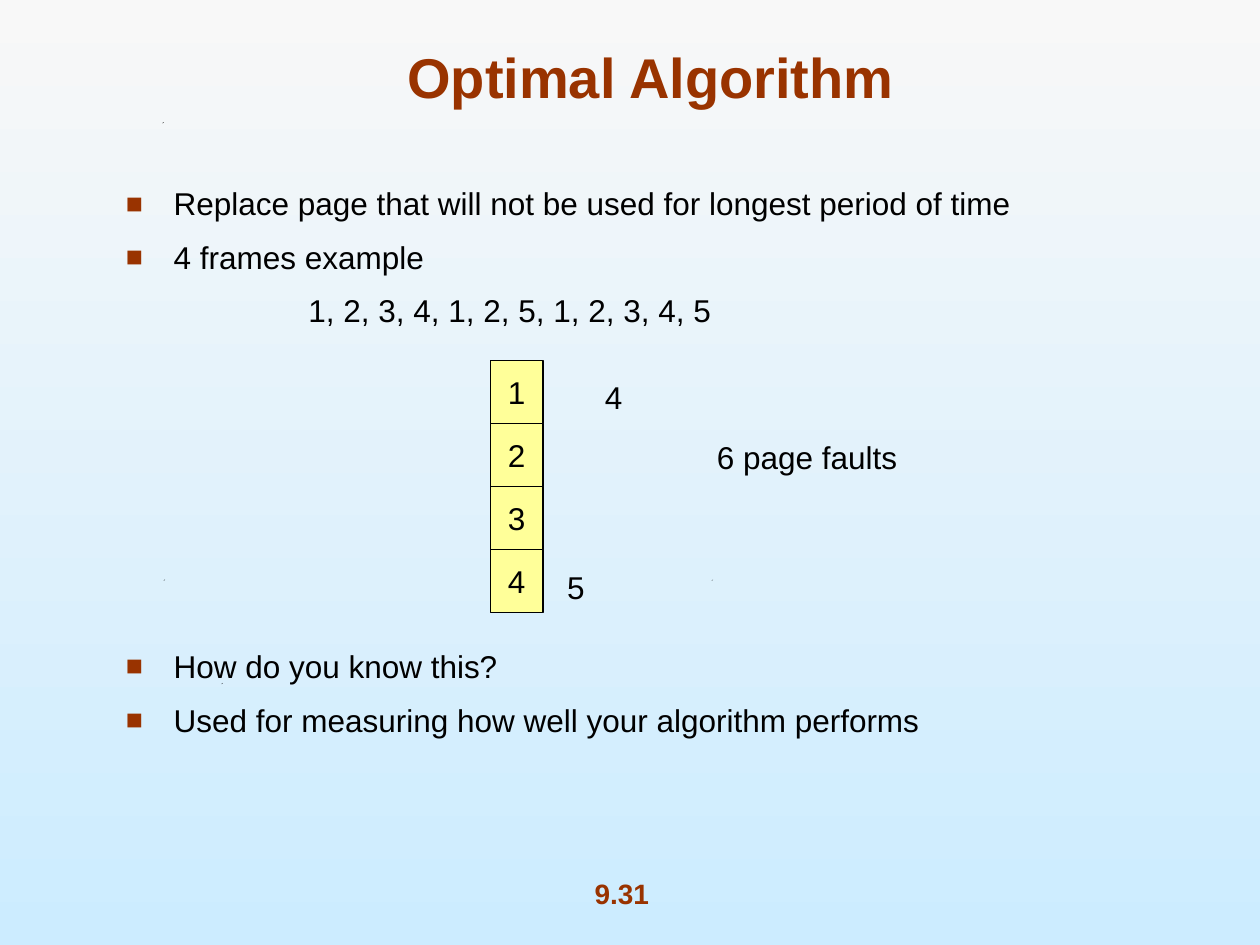
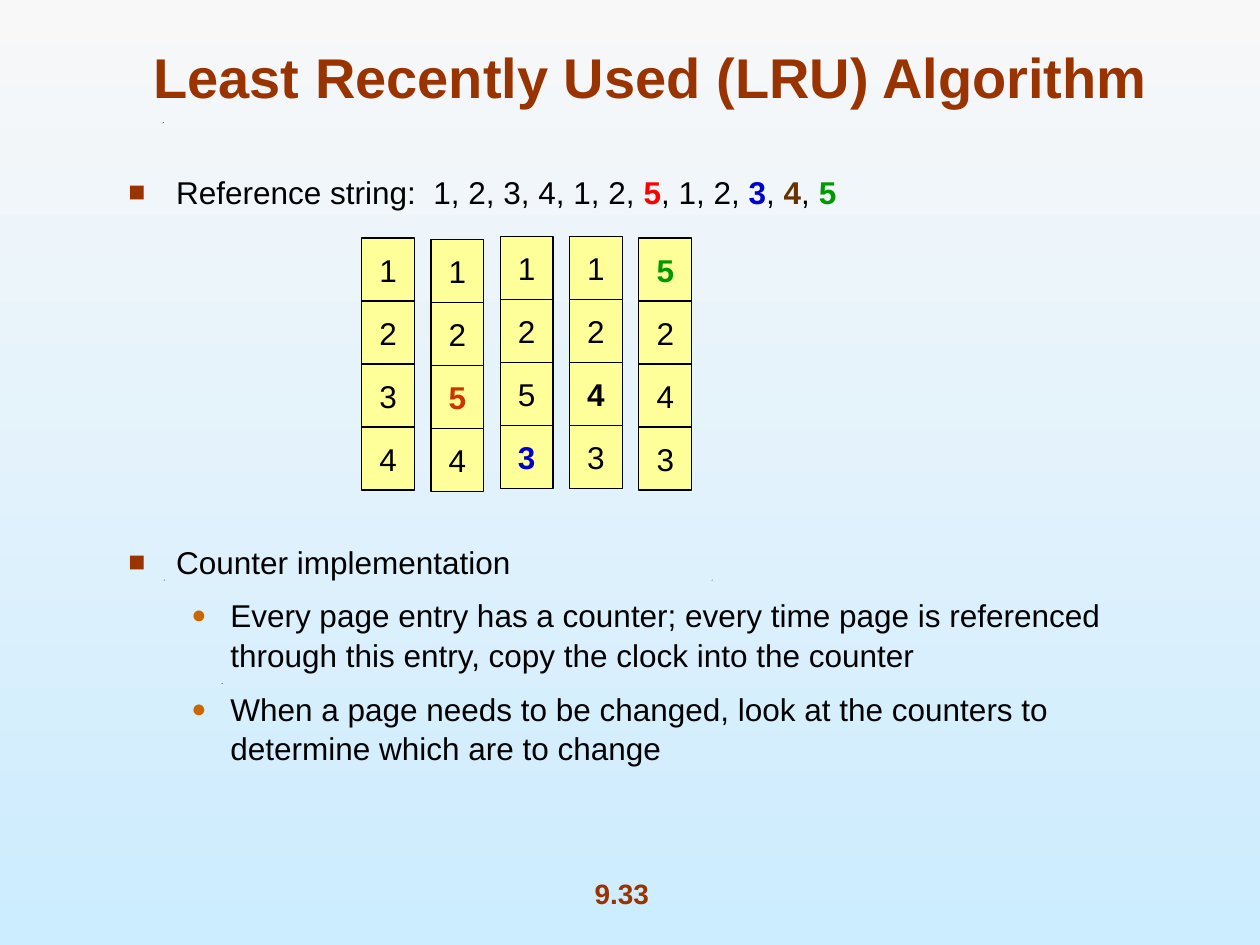
from lxml import etree
from pptx import Presentation
from pptx.dml.color import RGBColor
from pptx.enum.shapes import MSO_SHAPE
from pptx.enum.text import MSO_ANCHOR, PP_ALIGN
from pptx.oxml.ns import qn
from pptx.util import Inches, Pt

RECT = MSO_SHAPE.RECTANGLE
TOP, MIDDLE, BOTTOM = MSO_ANCHOR.TOP, MSO_ANCHOR.MIDDLE, MSO_ANCHOR.BOTTOM
LEFT, CENTER = PP_ALIGN.LEFT, PP_ALIGN.CENTER

BLACK = RGBColor(0x00, 0x00, 0x00)
RUST = RGBColor(0x99, 0x33, 0x00)
ORANGE = RGBColor(0xCC, 0x66, 0x00)
BRICK = RGBColor(0xCC, 0x33, 0x00)
RED = RGBColor(0xFF, 0x00, 0x00)
BLUE = RGBColor(0x00, 0x00, 0xCC)
BROWN = RGBColor(0x66, 0x33, 0x00)
GREEN = RGBColor(0x00, 0x99, 0x00)
YELLOW = RGBColor(0xFF, 0xFF, 0x99)
PALE = RGBColor(0xF8, 0xF8, 0xF8)
SKY = RGBColor(0xCC, 0xEC, 0xFF)

FONT = "Arial"
SIZE = 18
GAP = 7.9            # points between paragraphs
CELL_W, CELL_H = 0.42, 0.5
STEP = 0.55          # from one column of frames to the next
TITLE = (0.75, 0.25, 8.83, 0.67)
NUMBER = (4.21, 6.91, 1.45, 0.37)
SPECKS = [(1.76, 5.42), (1.3, 4.6), (5.65, 4.6), (1.29, 0.97)]

# level: left margin, first-line indent, bullet, bullet colour, bullet size %
LEVELS = {
    "main": (0.38, -0.38, "■", RUST, 90),
    "sub": (0.81, -0.31, "●", ORANGE, 80),
    "plain": (1.45, 0, None, None, None),
}

# A run is plain text, or (text, colour) when it is bold.
# A line is (level, space before, runs); a column is (top, pages).
SLIDES = [
    {
        "title": "Optimal Algorithm",
        "number": "9.31",
        "body": (0.9, 1.4, 8.04, 4.9),
        "lines": [
            ("main", 0, ["Replace page that will not be used for longest period of time"]),
            ("main", GAP, ["4 frames example"]),
            ("plain", GAP, ["1, 2, 3, 4, 1, 2, 5, 1, 2, 3, 4, 5"]),
            ("main", 180.6, ["How do you know this?"]),
            ("main", GAP, ["Used for measuring how well your algorithm performs"]),
        ],
        "left": 3.89,
        "columns": [(2.86, ["1", "2", "3", "4"])],
        "labels": [
            ("4", (4.7, 2.95, 0.34, 0.4)),
            ("6 page faults", (5.59, 3.43, 1.63, 0.4)),
            ("5", (4.4, 4.46, 0.34, 0.4)),
        ],
    },
    {
        "title": "Least Recently Used (LRU) Algorithm",
        "number": "9.33",
        "body": (0.92, 1.31, 8.04, 4.9),
        "lines": [
            ("main", 0, ["Reference string:  1, 2, 3, 4, 1, 2, ", ("5", RED), ", 1, 2, ",
                         ("3", BLUE), ", ", ("4", BROWN), ", ", ("5", GREEN)]),
            ("main", 188.6, ["Counter implementation"]),
            ("sub", GAP, ["Every page entry has a counter; every time page is referenced "
                          "through this entry, copy the clock into the counter"]),
            ("sub", GAP, ["When a page needs to be changed, look at the counters to "
                          "determine which are to change"]),
        ],
        "left": 2.87,
        "columns": [
            (1.89, ["1", "2", "3", "4"]),
            (1.9, ["1", "2", ("5", BRICK), "4"]),
            (1.88, ["1", "2", "5", ("3", BLUE)]),
            (1.88, ["1", "2", ("4", BLACK), "3"]),
            (1.89, [("5", GREEN), "2", "4", "3"]),
        ],
        "labels": [],
    },
]


def add_run(para, item, size=SIZE):
    text, color = (item, BLACK) if isinstance(item, str) else item
    run = para.add_run()
    run.text = text
    font = run.font
    font.name, font.size = FONT, Pt(size)
    font.bold = not isinstance(item, str)
    font.color.rgb = color


def add_box(slide, box, anchor, align=LEFT):
    """Add a wrapping text box and return its text frame."""
    frame = slide.shapes.add_textbox(*map(Inches, box)).text_frame
    frame.word_wrap = True
    frame.vertical_anchor = anchor
    frame.paragraphs[0].alignment = align
    return frame


def add_label(slide, item, box, anchor=MIDDLE, size=SIZE):
    frame = add_box(slide, box, anchor, CENTER)
    add_run(frame.paragraphs[0], item, size)


def set_level(para, level):
    """Give a paragraph the indents and the bullet of its level."""
    margin, indent, mark, color, size = LEVELS[level]
    props = para._p.get_or_add_pPr()
    props.set("marL", str(Inches(margin)))
    props.set("indent", str(Inches(indent)))
    if mark is None:
        etree.SubElement(props, qn("a:buNone"))
        return
    tint = etree.SubElement(props, qn("a:buClr"))
    etree.SubElement(tint, qn("a:srgbClr"), val=str(color))
    etree.SubElement(props, qn("a:buSzPct"), val=str(size * 1000))
    etree.SubElement(props, qn("a:buFont"), typeface=FONT)
    etree.SubElement(props, qn("a:buChar"), char=mark)


def add_body(slide, box, lines):
    frame = add_box(slide, box, TOP)
    for i, (level, space, runs) in enumerate(lines):
        para = frame.add_paragraph() if i else frame.paragraphs[0]
        para.line_spacing = 1.05
        if space:
            para.space_before = Pt(space)
        set_level(para, level)
        for item in runs:
            add_run(para, item)


def add_cell(slide, x, y, item):
    cell = slide.shapes.add_shape(RECT, *map(Inches, (x, y, CELL_W, CELL_H)))
    cell.shadow.inherit = False
    cell.fill.solid()
    cell.fill.fore_color.rgb = YELLOW
    cell.line.color.rgb = BLACK
    cell.line.width = Pt(0.75)
    frame = cell.text_frame
    frame.word_wrap = False
    frame.vertical_anchor = MIDDLE
    para = frame.paragraphs[0]
    para.alignment = CENTER
    add_run(para, item)


def add_speck(slide, x, y):
    dot = Inches(0.01)
    x, y = Inches(x), Inches(y)
    pen = slide.shapes.build_freeform(x, y + dot)
    pen.add_line_segments([(x + dot, y), (x, y + dot // 2)], close=True)
    speck = pen.convert_to_shape()
    speck.shadow.inherit = False
    speck.fill.solid()
    speck.fill.fore_color.rgb = BLACK
    speck.line.fill.background()


def add_base(slide, title, number):
    """Draw what every slide shares."""
    fill = slide.background.fill
    fill.gradient()
    fill.gradient_angle = 270
    for stop, color, place in zip(fill.gradient_stops, (PALE, SKY), (0, 1)):
        stop.color.rgb = color
        stop.position = place
    add_label(slide, (number, RUST), NUMBER, TOP, 16)
    for spot in SPECKS:
        add_speck(slide, *spot)
    add_label(slide, (title, RUST), TITLE, BOTTOM, 32)


def main():
    deck = Presentation()
    deck.slide_width, deck.slide_height = Inches(10), Inches(7.5)
    for data in SLIDES:
        slide = deck.slides.add_slide(deck.slide_layouts[6])
        add_base(slide, data["title"], data["number"])
        add_body(slide, data["body"], data["lines"])
        for col, (top, pages) in enumerate(data["columns"]):
            for row, page in enumerate(pages):
                add_cell(slide, data["left"] + col * STEP, top + row * CELL_H, page)
        for text, box in data["labels"]:
            add_label(slide, text, box)
    deck.save("out.pptx")


if __name__ == "__main__":
    main()
